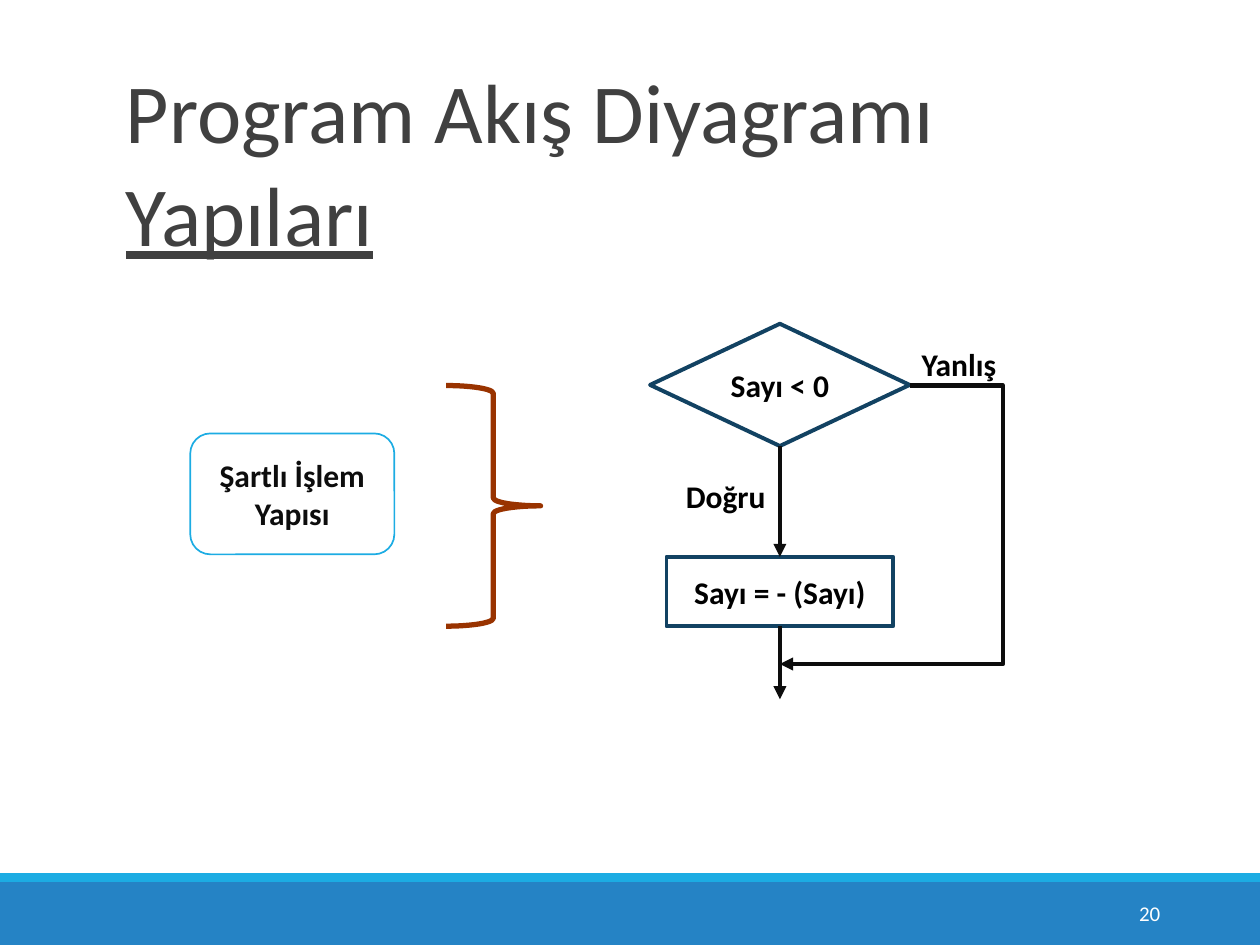
import pptx
import pptx.util
import pptx.dml.color
import pptx.enum.shapes
import pptx.enum.text
import pptx.oxml.ns
from dataclasses import dataclass
from lxml import etree
from pptx.util import Inches

SHAPE = pptx.enum.shapes.MSO_SHAPE
ALIGN = pptx.enum.text.PP_ALIGN
ANCHOR = pptx.enum.text.MSO_ANCHOR


@dataclass(frozen=True)
class Theme:
    font: str = "Calibri"
    title: str = "404040"
    ink: str = "0D0D0D"
    label: str = "000000"
    white: str = "FFFFFF"
    band: str = "2583C5"
    accent: str = "1CACE3"
    outline: str = "124262"
    brace: str = "993300"
    title_size: int = 48
    label_size: int = 18
    number_size: int = 12


THEME = Theme()


def rgb(value):
    return pptx.dml.color.RGBColor.from_string(value)


def add_run(p, text, size, color, bold=False, underline=False):
    r = p.add_run()
    r.text = text
    r.font.name = THEME.font
    r.font.size = pptx.util.Pt(size)
    r.font.color.rgb = rgb(color)
    r.font.bold = bold
    if underline:
        r.font.underline = True


def prepare_frame(sp, wrap=False, anchor=ANCHOR.MIDDLE):
    tf = sp.text_frame
    tf.margin_left = tf.margin_right = tf.margin_top = tf.margin_bottom = 0
    tf.word_wrap = wrap
    tf.vertical_anchor = anchor
    return tf


def add_shape(s, kind, box, line=None, width=1, fill=None):
    sp = s.shapes.add_shape(kind, *map(Inches, box))
    sp.shadow.inherit = False
    if fill:
        sp.fill.solid()
        sp.fill.fore_color.rgb = rgb(fill)
    else:
        sp.fill.background()
    if line:
        sp.line.color.rgb = rgb(line)
        sp.line.width = pptx.util.Pt(width)
    else:
        sp.line.fill.background()
    return sp


def add_node(s, kind, box, lines, line, width, color):
    sp = add_shape(s, kind, box, line, width)
    tf = prepare_frame(sp)
    for i, text in enumerate(lines):
        p = tf.paragraphs[0] if i == 0 else tf.add_paragraph()
        p.alignment = ALIGN.CENTER
        add_run(p, text, THEME.label_size, color, bold=True)


def add_label(s, box, text, size, color, bold=False):
    tf = prepare_frame(s.shapes.add_textbox(*map(Inches, box)))
    p = tf.paragraphs[0]
    p.alignment = ALIGN.CENTER
    add_run(p, text, size, color, bold)


def add_title(s):
    sp = s.shapes.add_textbox(Inches(1), Inches(0.46), Inches(8.16), Inches(1.66))
    tf = prepare_frame(sp, wrap=True, anchor=ANCHOR.TOP)
    p = tf.paragraphs[0]
    p.line_spacing = 1.02
    add_run(p, "Program Akış Diyagramı ", THEME.title_size, THEME.title)
    add_run(p, "Yapıları", THEME.title_size, THEME.title, underline=True)


def style_arrow(sp):
    sp.line.color.rgb = rgb(THEME.ink)
    sp.line.width = pptx.util.Pt(2.5)
    ln = sp.line._get_or_add_ln()
    etree.SubElement(ln, pptx.oxml.ns.qn("a:tailEnd"), type="triangle")


def add_arrow(s, x, top, bottom):
    straight = pptx.enum.shapes.MSO_CONNECTOR.STRAIGHT
    sp = s.shapes.add_connector(straight, Inches(x), Inches(top), Inches(x), Inches(bottom))
    style_arrow(sp)
    etree.SubElement(sp._element.spPr, pptx.oxml.ns.qn("a:effectLst"))


def add_bent_arrow(s, points):
    start, *rest = [(Inches(x), Inches(y)) for x, y in points]
    builder = s.shapes.build_freeform(*start)
    builder.add_line_segments(rest, close=False)
    sp = builder.convert_to_shape()
    sp.shadow.inherit = False
    sp.fill.background()
    style_arrow(sp)


def add_flowchart(s):
    axis, right, middle, merge = 6.19, 7.96, 3.06, 5.27
    add_node(s, SHAPE.DIAMOND, (5.16, 2.57, 2.06, 0.97), ["Sayı < 0"],
             THEME.outline, 2.28, THEME.label)
    add_node(s, SHAPE.RECTANGLE, (5.29, 4.42, 1.8, 0.55), ["Sayı = - (Sayı)"],
             THEME.outline, 2.28, THEME.label)
    for top, bottom in ((3.54, 4.42), (4.97, 5.55)):
        add_arrow(s, axis, top, bottom)
    add_bent_arrow(s, [(7.22, middle), (right, middle), (right, merge), (axis, merge)])
    for box, text in (((5.43, 3.77, 0.66, 0.33), "Doğru"),
                      ((7.3, 2.72, 0.62, 0.33), "Yanlış")):
        add_label(s, box, text, THEME.label_size, THEME.label, bold=True)


def main():
    prs = pptx.Presentation()
    prs.slide_width, prs.slide_height = Inches(10), Inches(7.5)
    s = prs.slides.add_slide(prs.slide_layouts[6])
    add_shape(s, SHAPE.RECTANGLE, (0, 7, 10, 0.5), fill=THEME.band)
    add_shape(s, SHAPE.RECTANGLE, (0, 6.93, 10, 0.07), fill=THEME.accent)
    add_title(s)
    add_node(s, SHAPE.ROUNDED_RECTANGLE, (1.51, 3.44, 1.62, 0.96),
             ["Şartlı İşlem", "Yapısı"], THEME.accent, 0.96, THEME.ink)
    add_shape(s, SHAPE.RIGHT_BRACE, (3.54, 3.06, 0.75, 1.91), THEME.brace, 3)
    add_flowchart(s)
    add_label(s, (8.95, 7.13, 0.35, 0.23), "20", THEME.number_size, THEME.white)
    prs.save("out.pptx")


if __name__ == "__main__":
    main()
